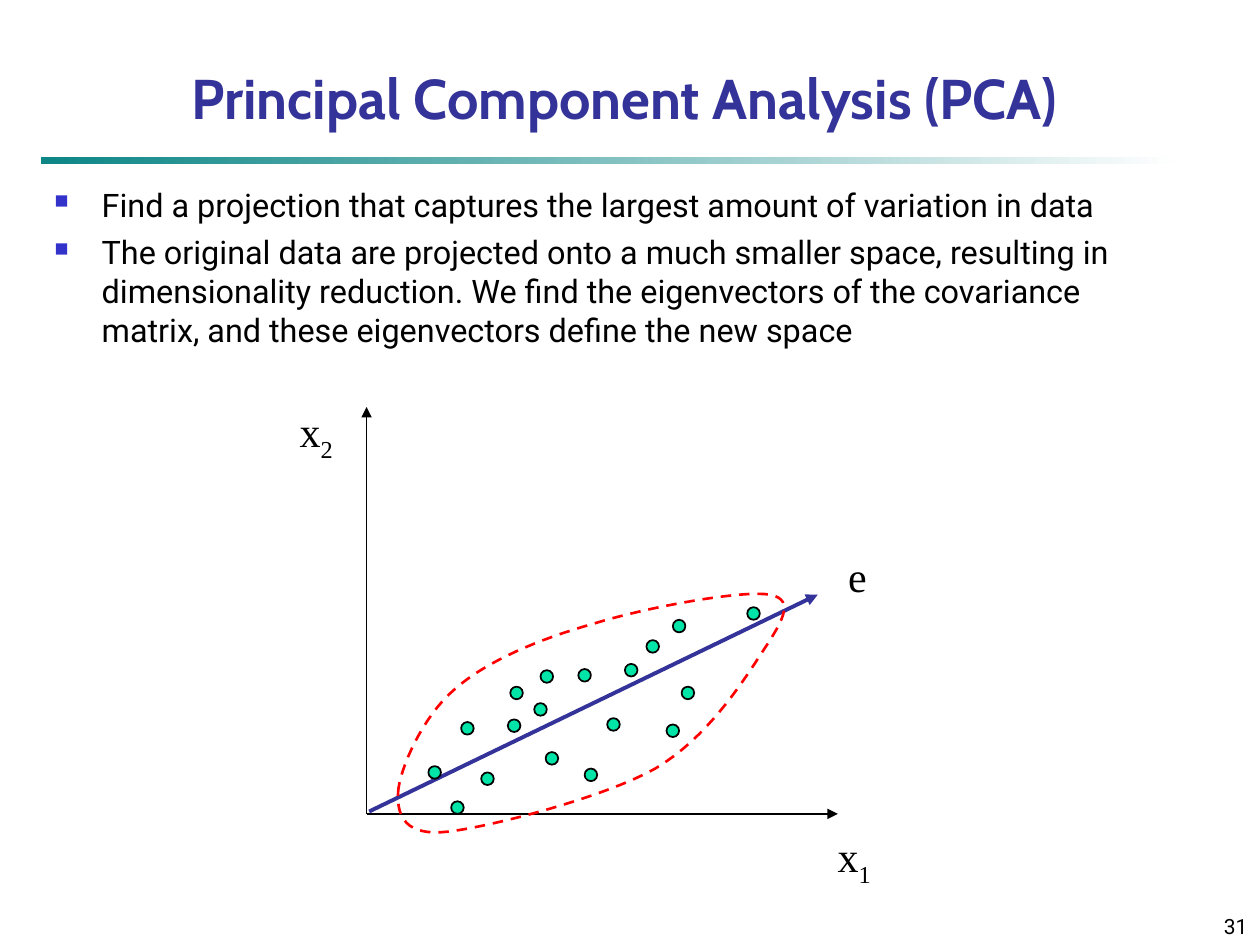
"""Build the slide that explains principal component analysis with a scatter sketch."""
from dataclasses import dataclass

from lxml import etree
from pptx import Presentation
from pptx.dml.color import RGBColor
from pptx.enum.dml import MSO_LINE
from pptx.enum.shapes import MSO_CONNECTOR, MSO_SHAPE
from pptx.enum.text import MSO_ANCHOR, PP_ALIGN
from pptx.oxml.ns import qn
from pptx.slide import Slide
from pptx.text.text import TextFrame, _Paragraph
from pptx.util import Pt

STRAIGHT = MSO_CONNECTOR.STRAIGHT
RECTANGLE, OVAL = MSO_SHAPE.RECTANGLE, MSO_SHAPE.OVAL
DASH = MSO_LINE.DASH
MIDDLE, BOTTOM, TOP = MSO_ANCHOR.MIDDLE, MSO_ANCHOR.BOTTOM, MSO_ANCHOR.TOP
LEFT, CENTER, RIGHT = PP_ALIGN.LEFT, PP_ALIGN.CENTER, PP_ALIGN.RIGHT

BLACK = RGBColor(0x00, 0x00, 0x00)
WHITE = RGBColor(0xFF, 0xFF, 0xFF)
TEAL = RGBColor(0x00, 0x80, 0x80)
INDIGO = RGBColor(0x33, 0x33, 0x99)
MINT = RGBColor(0x00, 0xE4, 0xA8)
RED = RGBColor(0xFF, 0x00, 0x00)
BULLET_HEX = "3333CC"

HEADING_FONT, BODY_FONT, LABEL_FONT = "Cabin", "Roboto", "Times New Roman"
DOT_SIZE = 7.2
CURVE_STEPS = 16
BULLET_INDENT = 27

Point = tuple[float, float]


@dataclass(frozen=True)
class Box:
    left: float
    top: float
    width: float
    height: float


@dataclass(frozen=True)
class Arrow:
    start: Point
    end: Point
    color: RGBColor
    weight: float


@dataclass(frozen=True)
class Label:
    box: Box
    symbol: str
    subscript: str = ""


FINDINGS = (
    "Find a projection that captures the largest amount of variation in data",
    "The original data are projected onto a much smaller space, resulting in "
    "dimensionality reduction. We find the eigenvectors of the covariance "
    "matrix, and these eigenvectors define the new space",
)
ORIGIN = (209.5, 465.1)
ARROWS = (
    Arrow(ORIGIN, (209.5, 232.6), BLACK, 1),
    Arrow(ORIGIN, (478.8, 465.1), BLACK, 1),
    Arrow((211, 463.7), (467.3, 339.8), INDIGO, 2.25),
)
LABELS = (
    Label(Box(164.2, 228.2, 33.1, 40.3), "x", "2"),
    Label(Box(471.6, 470.9, 33.1, 40.3), "x", "1"),
    Label(Box(477.4, 311, 25.2, 36), "e"),
)
DATA_POINTS: tuple[Point, ...] = (
    (263.5, 412.6), (291.6, 392.4), (244.8, 437.8), (305.3, 401.8),
    (290.2, 411.1), (347, 410.4), (334.1, 439.2), (311.8, 429.8),
    (330.5, 382.3), (389.5, 392.4), (427, 347), (275, 441.4),
    (357.1, 379.4), (384.5, 354.2), (308.9, 383), (369.4, 365.8),
    (380.9, 414), (257.8, 457.9),
)
CLOUD_START = (227.5, 452.9)
CLOUD_CURVES: tuple[tuple[Point, Point, Point], ...] = (
    ((228.2, 439.9), (241.2, 409.7), (259.9, 393.8)),
    ((278.6, 377.3), (308.9, 365), (339.1, 356.4)),
    ((369.4, 347), (424.1, 337), (439.9, 339.8)),
    ((455.8, 342.7), (445.7, 357.1), (434.9, 373.7)),
    ((424.1, 390.2), (403.9, 421.9), (374.4, 439.2)),
    ((344.9, 455.8), (280.8, 472.3), (256.3, 475.2)),
    ((231.8, 478.1), (226.8, 466.6), CLOUD_START),
)


def add_text_frame(slide: Slide, box: Box, anchor: MSO_ANCHOR, wrap: bool = True) -> TextFrame:
    """Add a text box and return its frame."""
    frame = slide.shapes.add_textbox(
        Pt(box.left), Pt(box.top), Pt(box.width), Pt(box.height)).text_frame
    frame.word_wrap = wrap
    frame.vertical_anchor = anchor
    return frame


def add_run(paragraph: _Paragraph, text: str, font: str, size: float,
            color: RGBColor = BLACK, bold: bool = False, baseline: int = 0) -> None:
    """Append one formatted run."""
    run = paragraph.add_run()
    run.text = text
    run.font.name, run.font.size, run.font.bold = font, Pt(size), bold
    run.font.color.rgb = color
    if baseline:
        run.font._element.set("baseline", str(baseline))


def add_line_of_text(slide: Slide, box: Box, text: str, font: str, size: float,
                     color: RGBColor, align: PP_ALIGN, bold: bool = False) -> None:
    """Add a single paragraph that stands on the bottom of its box."""
    paragraph = add_text_frame(slide, box, BOTTOM).paragraphs[0]
    paragraph.alignment = align
    add_run(paragraph, text, font, size, color, bold)


def add_bullet(paragraph: _Paragraph, text: str) -> None:
    """Write a finding as a bulleted paragraph with a hanging indent."""
    paragraph.alignment = LEFT
    paragraph.line_spacing = 1.0
    paragraph.space_before = Pt(5)
    properties = paragraph._p.get_or_add_pPr()
    properties.set("marL", str(Pt(BULLET_INDENT)))
    properties.set("indent", str(-Pt(BULLET_INDENT)))
    bullet_color = etree.SubElement(properties, qn("a:buClr"))
    etree.SubElement(bullet_color, qn("a:srgbClr"), val=BULLET_HEX)
    etree.SubElement(properties, qn("a:buSzPct"), val="60000")
    etree.SubElement(properties, qn("a:buChar"), char="■")
    add_run(paragraph, text, BODY_FONT, 18.5)


def add_rule(slide: Slide, box: Box) -> None:
    """Add the fading rule below the title."""
    rule = slide.shapes.add_shape(
        RECTANGLE, Pt(box.left), Pt(box.top), Pt(box.width), Pt(box.height))
    rule.shadow.inherit = False
    rule.line.fill.background()
    rule.fill.gradient()
    rule.fill.gradient_angle = 0
    for stop, color in zip(rule.fill.gradient_stops, (TEAL, WHITE)):
        stop.color.rgb = color
    first_color = next(rule._element.spPr.iter(qn("a:srgbClr")))
    etree.SubElement(first_color, qn("a:alpha"), val="95000")


def add_arrow(slide: Slide, arrow: Arrow) -> None:
    """Add a straight arrow with a triangular head."""
    connector = slide.shapes.add_connector(
        STRAIGHT, *(Pt(value) for value in arrow.start + arrow.end))
    connector.line.color.rgb = arrow.color
    connector.line.width = Pt(arrow.weight)
    etree.SubElement(connector.line._get_or_add_ln(), qn("a:tailEnd"), type="triangle")
    etree.SubElement(connector._element.spPr, qn("a:effectLst"))


def add_dot(slide: Slide, position: Point) -> None:
    """Add one data point by its top left corner."""
    dot = slide.shapes.add_shape(
        OVAL, Pt(position[0]), Pt(position[1]), Pt(DOT_SIZE), Pt(DOT_SIZE))
    dot.shadow.inherit = False
    dot.fill.solid()
    dot.fill.fore_color.rgb = MINT
    dot.line.color.rgb = BLACK
    dot.line.width = Pt(1)


def curve_point(knots: tuple[Point, ...], t: float) -> Point:
    """Return the point at t on a cubic Bézier curve."""
    weights = ((1 - t) ** 3, 3 * t * (1 - t) ** 2, 3 * t ** 2 * (1 - t), t ** 3)
    x, y = (sum(w * knot[axis] for w, knot in zip(weights, knots)) for axis in (0, 1))
    return Pt(x), Pt(y)


def add_cloud(slide: Slide) -> None:
    """Add the dashed outline around the data points."""
    builder = slide.shapes.build_freeform(Pt(CLOUD_START[0]), Pt(CLOUD_START[1]))
    start = CLOUD_START
    for curve in CLOUD_CURVES:
        builder.add_line_segments(
            [curve_point((start, *curve), step / CURVE_STEPS)
             for step in range(1, CURVE_STEPS + 1)], close=False)
        start = curve[-1]
    builder.add_line_segments([], close=True)
    cloud = builder.convert_to_shape()
    cloud.shadow.inherit = False
    cloud.fill.background()
    cloud.line.color.rgb = RED
    cloud.line.width = Pt(1.5)
    cloud.line.dash_style = DASH


def add_label(slide: Slide, label: Label) -> None:
    """Add a centred symbol with an optional subscript."""
    paragraph = add_text_frame(slide, label.box, MIDDLE, wrap=False).paragraphs[0]
    paragraph.alignment = CENTER
    add_run(paragraph, label.symbol, LABEL_FONT, 24)
    if label.subscript:
        add_run(paragraph, label.subscript, LABEL_FONT, 24, baseline=-25000)


def main() -> None:
    """Build and save the slide."""
    deck = Presentation()
    deck.slide_width, deck.slide_height = Pt(720), Pt(540)
    slide = deck.slides.add_slide(deck.slide_layouts[6])
    add_rule(slide, Box(24, 90, 648, 3.6))
    add_line_of_text(slide, Box(570, 510, 150, 30), "31", BODY_FONT, 12, BLACK, RIGHT)
    for arrow in ARROWS:
        add_arrow(slide, arrow)
    for position in DATA_POINTS:
        add_dot(slide, position)
    add_cloud(slide)
    for label in LABELS:
        add_label(slide, label)
    add_line_of_text(slide, Box(12, 12, 690, 66), "Principal Component Analysis (PCA)",
                     HEADING_FONT, 32, INDIGO, CENTER, bold=True)
    body = add_text_frame(slide, Box(24, 102, 660, 126), TOP)
    for index, finding in enumerate(FINDINGS):
        add_bullet(body.add_paragraph() if index else body.paragraphs[0], finding)
    deck.save("out.pptx")


if __name__ == "__main__":
    main()
